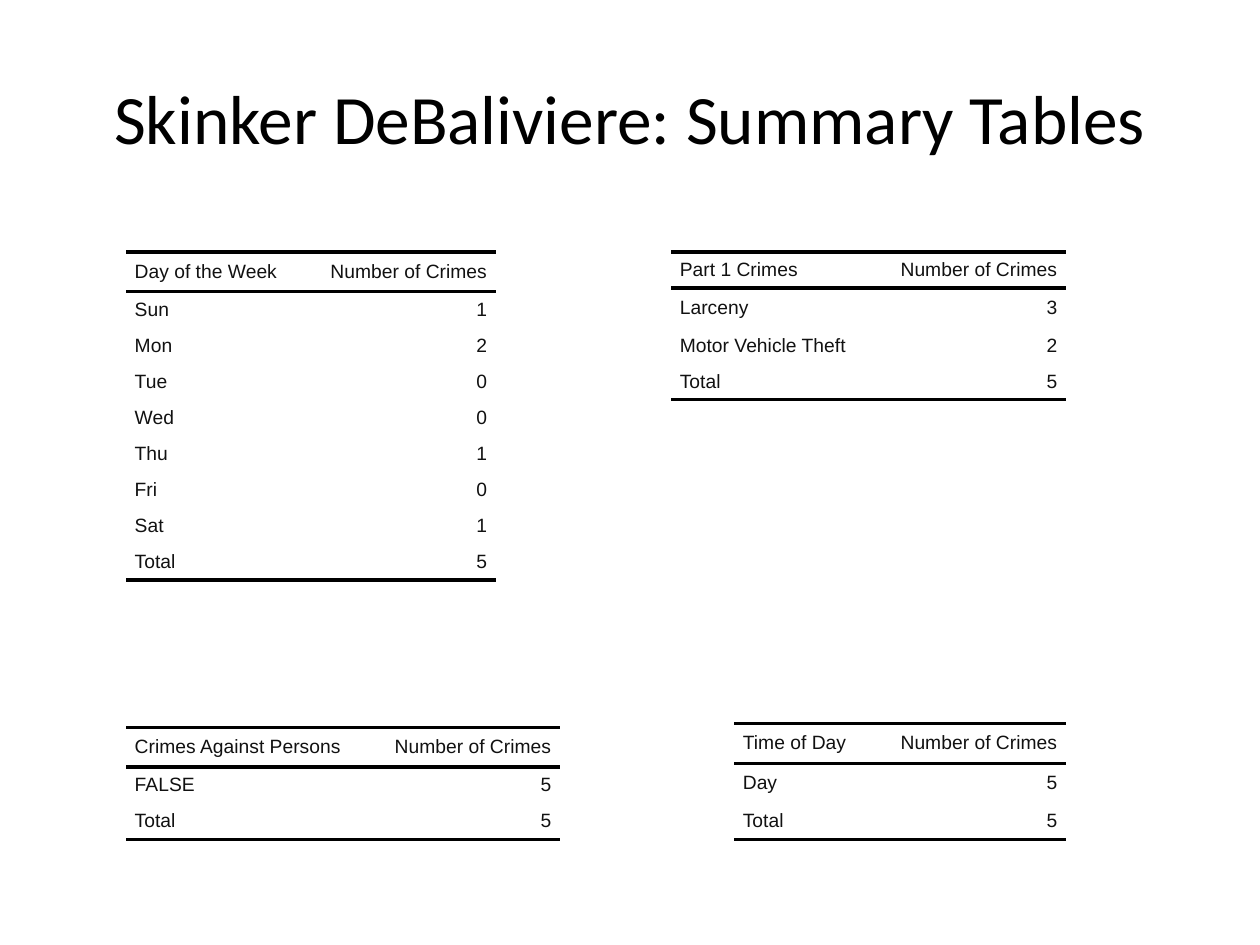
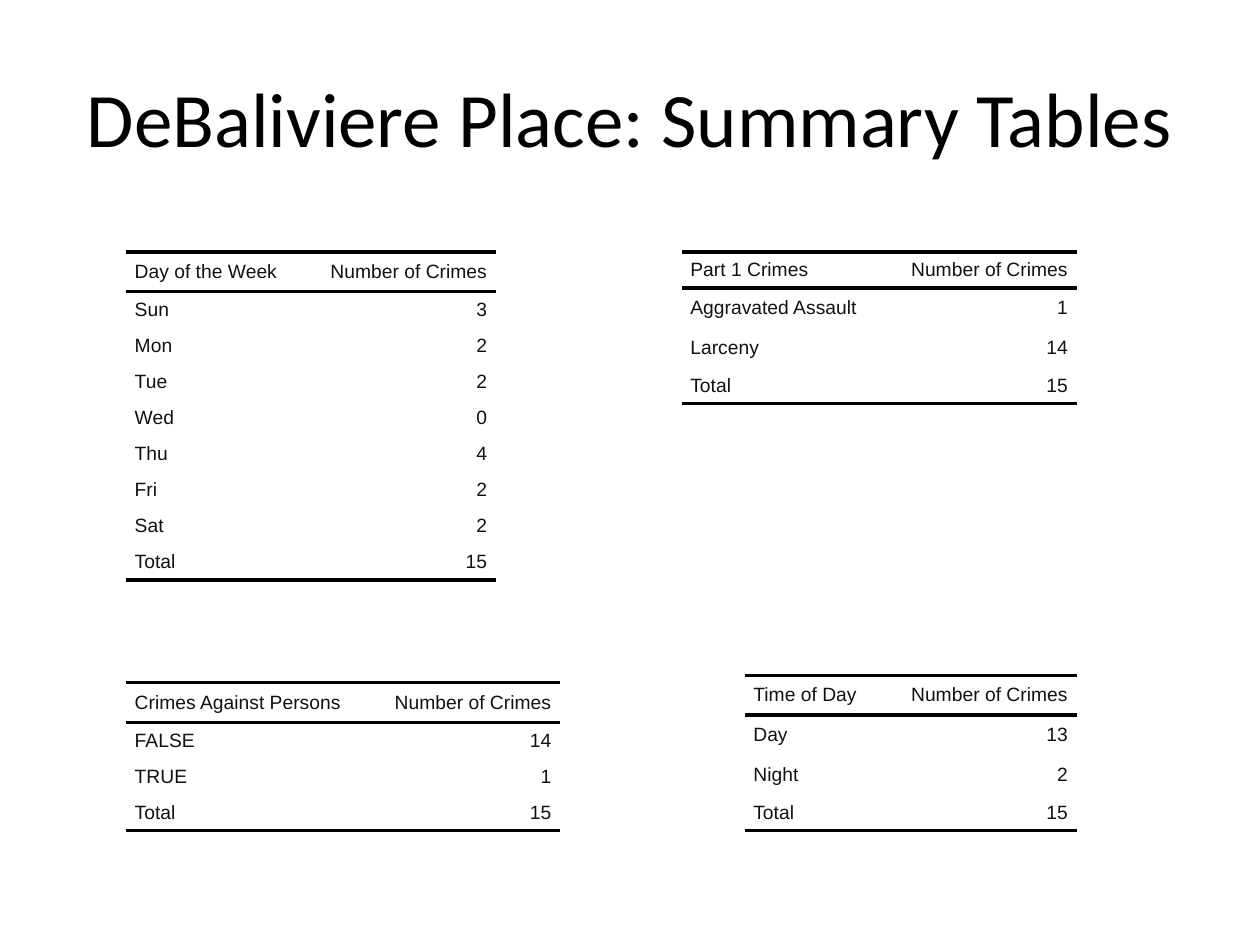
from dataclasses import dataclass

from lxml import etree
from pptx import Presentation
from pptx.dml.color import RGBColor
from pptx.enum import text
from pptx.oxml import ns
from pptx.util import Pt


@dataclass(frozen=True)
class Theme:
    title_font: str = "Calibri"
    title_color: str = "000000"
    table_font: str = "Arial"
    table_size: float = 11
    table_color: str = "111111"
    rule_color: str = "000000"
    rule_width: float = 2
    padding: float = 5
    spacing: float = 2
    row_height: float = 20.6
    tall_row_height: float = 22.8
    count_width: float = 109.7


@dataclass(frozen=True)
class Box:
    left: float
    top: float
    right: float
    bottom: float


@dataclass(frozen=True)
class CrimeTable:
    """Rows listed in tall_rows get the taller height; row 0 is the header."""
    heading: str
    label_width: float
    counts: dict
    tall_rows: tuple = (0,)

    @property
    def rows(self):
        total = sum(self.counts.values())
        return [(self.heading, "Number of Crimes"), *self.counts.items(), ("Total", total)]

    @property
    def heights(self):
        return [THEME.tall_row_height if index in self.tall_rows else THEME.row_height
                for index in range(len(self.rows))]

    @property
    def width(self):
        return self.label_width + THEME.count_width


THEME = Theme()
TITLE_BOX = Box(36, 21.6, 684, 111.6)
DAYS = ("Sun", "Mon", "Tue", "Wed", "Thu", "Fri", "Sat")


def set_borders(cell, ruled_sides):
    """Rule the named sides (T, B) and clear the others."""
    properties = cell._tc.get_or_add_tcPr()
    for position, side in enumerate("LRTB"):
        line = etree.Element(ns.qn(f"a:ln{side}"), w=str(Pt(THEME.rule_width)))
        if side in ruled_sides:
            fill = etree.SubElement(line, ns.qn("a:solidFill"))
            etree.SubElement(fill, ns.qn("a:srgbClr"), val=THEME.rule_color)
        else:
            etree.SubElement(line, ns.qn("a:noFill"))
        properties.insert(position, line)


def write_cell(cell, value, alignment):
    cell.fill.background()
    cell.vertical_anchor = text.MSO_ANCHOR.MIDDLE
    cell.margin_left = cell.margin_right = cell.margin_top = cell.margin_bottom = 0
    cell.text = str(value)
    paragraph = cell.text_frame.paragraphs[0]
    paragraph.alignment = alignment
    paragraph.space_before = paragraph.space_after = Pt(THEME.spacing)
    properties = paragraph._p.get_or_add_pPr()
    for name in ("marL", "marR"):
        properties.set(name, str(Pt(THEME.padding)))
    properties.set("indent", "0")
    paragraph.font.name = THEME.table_font
    paragraph.font.size = Pt(THEME.table_size)
    paragraph.font.color.rgb = RGBColor.from_string(THEME.table_color)


def add_crime_table(slide, crime_table, left, top):
    rows, heights = crime_table.rows, crime_table.heights
    frame = slide.shapes.add_table(len(rows), 2, Pt(left), Pt(top),
                                   Pt(crime_table.width), Pt(sum(heights)))
    table = frame.table
    table.first_row = table.horz_banding = False
    for column, width in zip(table.columns, (crime_table.label_width, THEME.count_width)):
        column.width = Pt(width)
    alignments = (text.PP_ALIGN.LEFT, text.PP_ALIGN.RIGHT)
    for index, (values, height) in enumerate(zip(rows, heights)):
        table.rows[index].height = Pt(height)
        ruled_sides = {0: "TB", 1: "T", len(rows) - 1: "B"}.get(index, "")
        for cell, value, alignment in zip(table.rows[index].cells, values, alignments):
            write_cell(cell, value, alignment)
            set_borders(cell, ruled_sides)


def add_corner_tables(slide, box, part_one, days, persons, times):
    """Place one table in each corner of the box."""
    for crime_table, at_right, at_bottom in ((part_one, True, False), (days, False, False),
                                             (persons, False, True), (times, True, True)):
        left = box.right - crime_table.width if at_right else box.left
        top = box.bottom - sum(crime_table.heights) if at_bottom else box.top
        add_crime_table(slide, crime_table, left, top)


def set_title(slide, box, wording, size):
    title = slide.shapes.title
    title.left, title.top = Pt(box.left), Pt(box.top)
    title.width, title.height = Pt(box.right - box.left), Pt(box.bottom - box.top)
    frame = title.text_frame
    frame.text = wording
    frame.auto_size = text.MSO_AUTO_SIZE.NONE
    frame.vertical_anchor = text.MSO_ANCHOR.MIDDLE
    paragraph = frame.paragraphs[0]
    paragraph.alignment = text.PP_ALIGN.CENTER
    paragraph.font.name = THEME.title_font
    paragraph.font.size = Pt(size)
    paragraph.font.color.rgb = RGBColor.from_string(THEME.title_color)


def add_summary_slide(presentation, neighborhood, title_size, box,
                      part_one, day_counts, persons, times):
    slide = presentation.slides.add_slide(presentation.slide_layouts[5])
    set_title(slide, TITLE_BOX, f"{neighborhood}: Summary Tables", title_size)
    add_corner_tables(
        slide, box,
        CrimeTable("Part 1 Crimes", 116, part_one, tuple(range(1, len(part_one) + 1))
                   if "Aggravated Assault" in part_one else (1,)),
        CrimeTable("Day of the Week", 101.7, dict(zip(DAYS, day_counts))),
        CrimeTable("Crimes Against Persons", 138.4, persons),
        CrimeTable("Time of Day", 80, times, tuple(range(len(times) + 1))))


def main():
    presentation = Presentation()
    presentation.slide_width, presentation.slide_height = Pt(720), Pt(540)
    add_summary_slide(presentation, "Skinker DeBaliviere", 39.6, Box(72, 144, 609.2, 479.5),
                      part_one={"Larceny": 3, "Motor Vehicle Theft": 2},
                      day_counts=(1, 2, 0, 0, 1, 0, 1),
                      persons={"FALSE": 5},
                      times={"Day": 5})
    add_summary_slide(presentation, "DeBaliviere Place", 44, Box(72, 144, 615.2, 474.8),
                      part_one={"Aggravated Assault": 1, "Larceny": 14},
                      day_counts=(3, 2, 2, 0, 4, 2, 2),
                      persons={"FALSE": 14, "TRUE": 1},
                      times={"Day": 13, "Night": 2})
    presentation.save("out.pptx")


if __name__ == "__main__":
    main()
